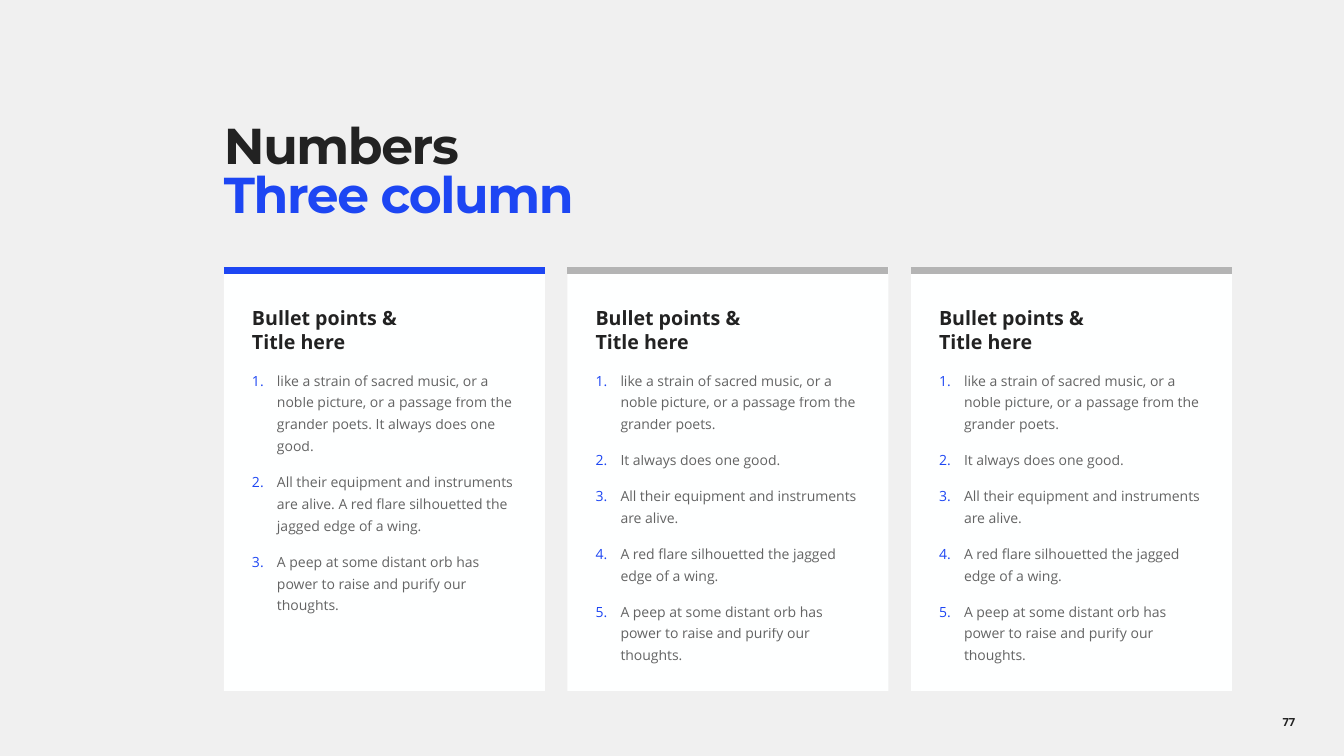
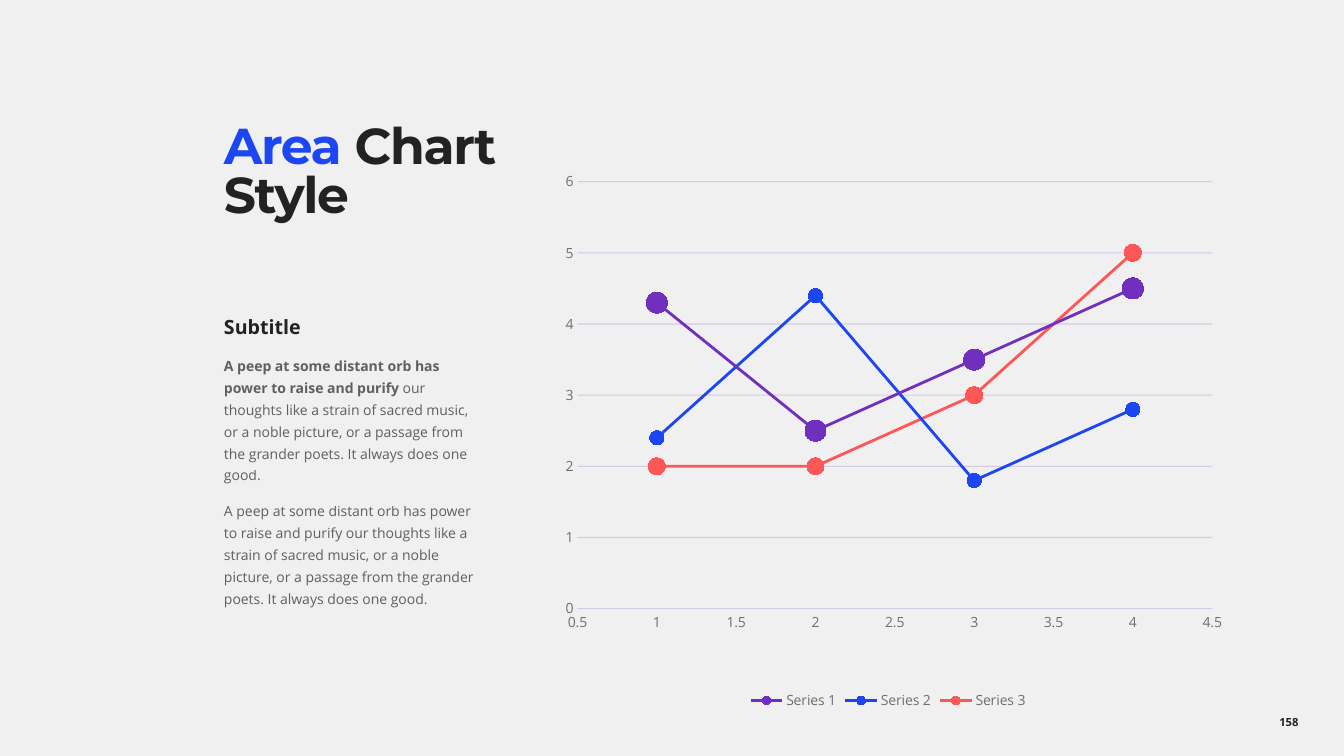
"""Build a three-column numbered list slide and a scatter chart slide."""
from lxml import etree
from pptx import Presentation
from pptx.chart.data import XyChartData
from pptx.dml.color import RGBColor
from pptx.enum.chart import XL_CHART_TYPE, XL_LEGEND_POSITION, XL_MARKER_STYLE, XL_TICK_MARK
from pptx.enum.shapes import MSO_CONNECTOR, MSO_SHAPE
from pptx.enum.text import MSO_ANCHOR, MSO_AUTO_SIZE, PP_ALIGN
from pptx.oxml.ns import qn
from pptx.util import Pt

SCALE = 12192000 / 1344
INK, BLUE, GREY, AXIS = "222222", "1D46F3", "B4B4B4", "6F6F6F"
PURPLE, CORAL, CARD, BACKDROP = "7030BD", "FE5757", "FEFFFF", "F0F0F0"
LEFT, CONTENT_WIDTH = 224, 1008

STYLES = {
    "title": {"name": "Montserrat", "size": Pt(36), "bold": True},
    "heading": {"name": "Open Sans", "size": Pt(14), "bold": True},
    "body": {"name": "Open Sans", "size": Pt(10), "bold": False},
    "strong": {"name": "Open Sans", "size": Pt(10), "bold": True},
    "number": {"name": "Open Sans", "size": Pt(8), "bold": True},
}


def paint(fill, colour, alpha=None):
    """Make a fill solid, with an optional opacity in percent."""
    fill.solid()
    fill.fore_color.rgb = RGBColor.from_string(colour)
    if alpha:
        node = fill._xPr.find(".//" + qn("a:srgbClr"))
        etree.SubElement(node, qn("a:alpha"), val=str(alpha * 1000))


def write(shape, paragraphs, insets, **settings):
    """Fill a shape with paragraphs made of (text, style, colour) spans."""
    frame = shape.text_frame
    frame.word_wrap = True
    for side, inset in zip(("left", "top", "right", "bottom"), insets):
        setattr(frame, f"margin_{side}", int(inset * SCALE))
    frame.vertical_anchor = settings.pop("anchor", MSO_ANCHOR.TOP)
    for index, spans in enumerate(paragraphs):
        para = frame.paragraphs[0] if index == 0 else frame.add_paragraph()
        para.alignment = PP_ALIGN.LEFT
        if index:
            para.space_before = Pt(10)
        for name, value in settings.items():
            setattr(para, name, value)
        for text, style, colour in spans:
            for count, line in enumerate(text.split("\n")):
                if count:
                    para.add_line_break()
                if not line:
                    continue
                span = para.add_run()
                span.text = line
                for name, value in STYLES[style].items():
                    setattr(span.font, name, value)
                paint(span.font.fill, colour, 70 if style in ("body", "strong") else None)
                if style == "title":
                    span.font._element.set("spc", "-100")


deck = Presentation()
deck.slide_width, deck.slide_height = int(1344 * SCALE), int(756 * SCALE)

titles = [
    ("77", [("Numbers\n", "title", INK), ("Three column", "title", BLUE)]),
    ("158", [("Area", "title", BLUE), (" Chart\nStyle", "title", INK)]),
]
pages = []
for number, title in titles:
    page = deck.slides.add_slide(deck.slide_layouts[6])
    paint(page.background.fill, BACKDROP)
    box = page.shapes.add_textbox(*[int(v * SCALE) for v in (LEFT, 105, CONTENT_WIDTH, 138)])
    write(box, [title], (0, 21, 0, 0), line_spacing=0.8)
    box = page.shapes.add_textbox(*[int(v * SCALE) for v in (1234, 702, 110, 40)])
    write(box, [[(number, "number", INK)]], (10, 5, 10, 5),
          anchor=MSO_ANCHOR.MIDDLE, alignment=PP_ALIGN.CENTER)
    pages.append(page)
list_page, chart_page = pages

music = "like a strain of sacred music, or a noble picture, or a passage from the grander poets."
good = "It always does one good."
equipment = "All their equipment and instruments are alive."
flare = "A red flare silhouetted the jagged edge of a wing."
orb = "A peep at some distant orb has power to raise and purify our thoughts."
five_points = [music, good, equipment, flare, orb]
columns = [
    (BLUE, [f"{music} {good}", f"{equipment} {flare}", orb]),
    (GREY, five_points),
    (GREY, five_points),
]
card_width, card_top = 321, 267
pitch = (CONTENT_WIDTH - card_width) / (len(columns) - 1)
for index, (accent, points) in enumerate(columns):
    left = LEFT + index * pitch
    card = list_page.shapes.add_shape(
        MSO_SHAPE.RECTANGLE, *[int(v * SCALE) for v in (left, card_top, card_width, 424)])
    card.shadow.inherit = False
    paint(card.fill, CARD)
    card.line.fill.background()
    paragraphs = [[("Bullet points &\nTitle here", "heading", INK)]]
    paragraphs += [[(point, "body", INK)] for point in points]
    write(card, paragraphs, (28, 39, 28, 5))
    for para in card.text_frame.paragraphs[1:]:
        para.line_spacing = 1.3
        properties = para._p.get_or_add_pPr()
        properties.set("marL", str(int(25 * SCALE)))
        properties.set("indent", str(int(-25 * SCALE)))
        bullet_colour = etree.SubElement(properties, qn("a:buClr"))
        etree.SubElement(bullet_colour, qn("a:srgbClr"), val=BLUE)
        etree.SubElement(properties, qn("a:buFont"), typeface="+mj-lt")
        etree.SubElement(properties, qn("a:buAutoNum"), type="arabicPeriod")
    bar = list_page.shapes.add_connector(
        MSO_CONNECTOR.STRAIGHT,
        *[int(v * SCALE) for v in (left, card_top + 4, left + card_width, card_top + 4)])
    paint(bar.line.fill, accent)
    bar.line.width = Pt(5)
    etree.SubElement(bar._element.spPr, qn("a:effectLst"))

data = XyChartData()
series_rows = [
    ("Series 1", PURPLE, 15, (4.3, 2.5, 3.5, 4.5)),
    ("Series 2", BLUE, 10, (2.4, 4.4, 1.8, 2.8)),
    ("Series 3", CORAL, 12, (2, 2, 3, 5)),
]
for name, colour, marker_size, values in series_rows:
    points = data.add_series(name)
    for x, y in enumerate(values, 1):
        points.add_data_point(x, y)
chart = chart_page.shapes.add_chart(
    XL_CHART_TYPE.XY_SCATTER_LINES, *[int(v * SCALE) for v in (543, 95, 690, 619)], data).chart
chart.has_title = False
chart.has_legend = True
chart.legend.position = XL_LEGEND_POSITION.BOTTOM
chart.legend.include_in_layout = False
chart.plots[0].vary_by_categories = False
for series, (name, colour, marker_size, values) in zip(chart.plots[0].series, series_rows):
    series.smooth = False
    paint(series.format.line.fill, colour)
    series.format.line.width = Pt(2)
    series.marker.style = XL_MARKER_STYLE.CIRCLE
    series.marker.size = marker_size
    paint(series.marker.format.fill, colour)
    paint(series.marker.format.line.fill, colour)

axes = [(chart.category_axis, 0.5, 4.5, 0.5), (chart.value_axis, 0, 6, 1)]
for axis, low, high, step in axes:
    axis.minimum_scale, axis.maximum_scale, axis.major_unit = low, high, step
    axis.major_tick_mark = axis.minor_tick_mark = XL_TICK_MARK.NONE
    axis.format.line.fill.background()
    axis.tick_labels.number_format = "General"
    axis.tick_labels.number_format_is_linked = False
chart.category_axis.has_major_gridlines = False
chart.value_axis.has_major_gridlines = True
grid_line = chart.value_axis.major_gridlines.format.line
paint(grid_line.fill, PURPLE, 20)
grid_line.width = Pt(0.75)
label_fonts = [axis.tick_labels.font for axis, *limits in axes] + [chart.legend.font]
for font, colour in [(chart.font, INK)] + [(font, AXIS) for font in label_fonts]:
    font.name, font.size = "Open Sans", Pt(10)
    paint(font.fill, colour)

plot_area = chart._chartSpace.chart.plotArea
for old in plot_area.findall(qn("c:layout")):
    plot_area.remove(old)
layouts = [
    (plot_area, 0, "inner", (0.05, 0.14, 0.92, 0.69)),
    (chart.legend._element, 1, None, (0.26, 0.03, 0.41, 0.04)),
]
for parent, position, target, fractions in layouts:
    layout = etree.Element(qn("c:layout"))
    parent.insert(position, layout)
    manual = etree.SubElement(layout, qn("c:manualLayout"))
    entries = [("layoutTarget", target)] if target else []
    entries += [("xMode", "edge"), ("yMode", "edge")]
    entries += zip("xywh", fractions)
    for tag, value in entries:
        etree.SubElement(manual, qn(f"c:{tag}"), val=str(value))

subtitle = chart_page.shapes.add_textbox(*[int(v * SCALE) for v in (LEFT, 304, 276, 307)])
write(subtitle, [
    [("Subtitle", "heading", INK)],
    [("A peep at some distant orb has power to raise and purify ", "strong", INK),
     (f"our thoughts {music} {good}", "body", INK)],
    [(f"{orb[:-1]} {music} {good}", "body", INK)],
], (0, 4, 24, 4), line_spacing=1.3)
subtitle.text_frame.auto_size = MSO_AUTO_SIZE.SHAPE_TO_FIT_TEXT

deck.save("out.pptx")
